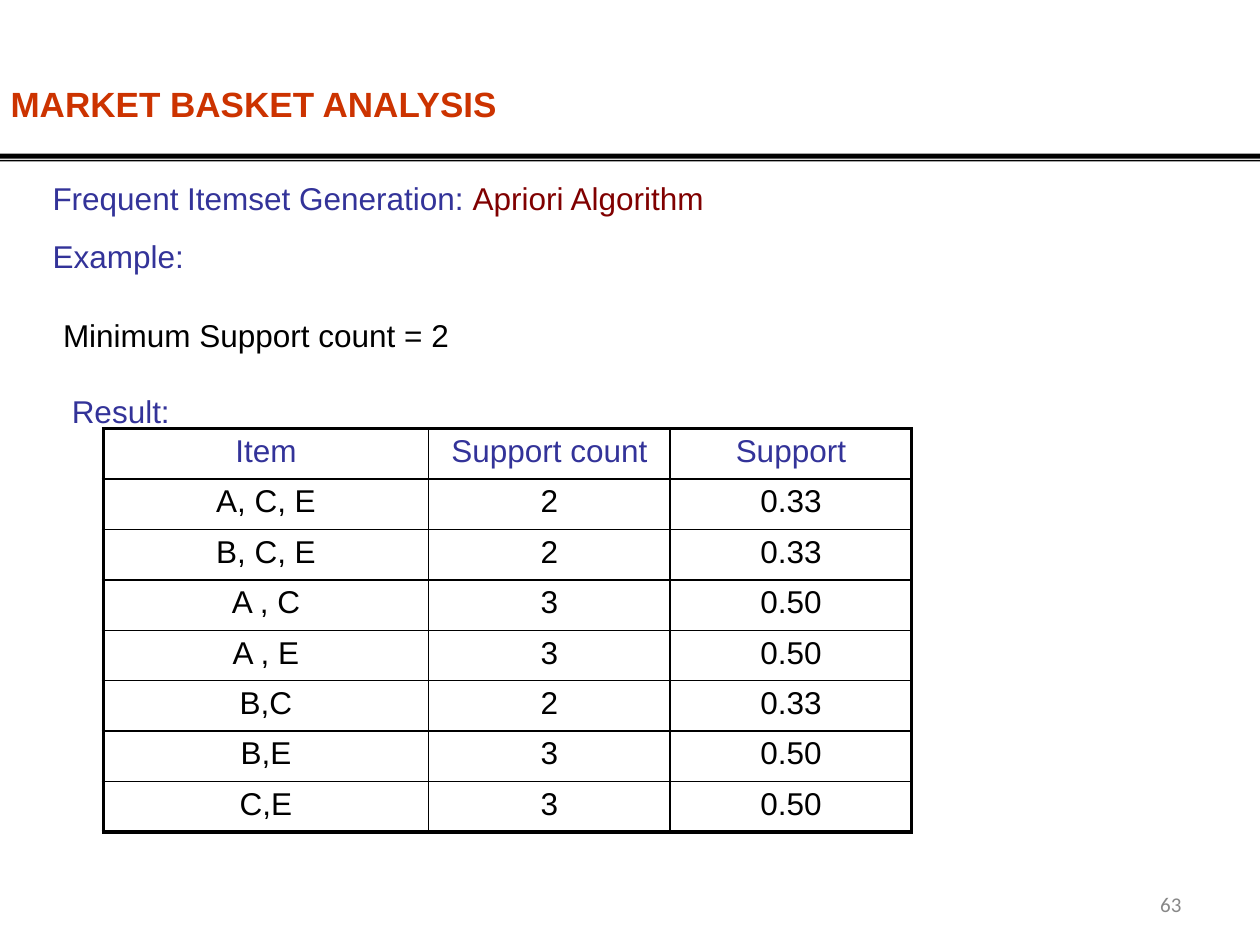
from lxml import etree
from pptx import Presentation
from pptx.dml.color import RGBColor
from pptx.enum import text as t
from pptx.oxml import ns
from pptx.util import Pt

INK = {"title": "CC3300", "head": "333399", "name": "800000",
       "text": "000000", "page": "888888", "back": "FFFFFF"}
THIN, THICK = 1, 2.25
ROWS = [
    ("Item", "Support count", "Support"),
    ("A, C, E", "2", "0.33"),
    ("B, C, E", "2", "0.33"),
    ("A , C", "3", "0.50"),
    ("A , E", "3", "0.50"),
    ("B,C", "2", "0.33"),
    ("B,E", "3", "0.50"),
    ("C,E", "3", "0.50"),
]


def color(key):
    return RGBColor.from_string(INK[key])


def write(para, words, size=18, ink="text", bold=False, face="Arial"):
    """Add one formatted run to a paragraph."""
    run = para.add_run()
    run.text = words
    font = run.font
    font.size, font.bold, font.name = Pt(size), bold, face
    font.color.rgb = color(ink)


def place(shape, left, top, width, height):
    """Set the box of a text shape and clear its margins."""
    shape.left, shape.top = Pt(left), Pt(top)
    shape.width, shape.height = Pt(width), Pt(height)
    frame = shape.text_frame
    frame.margin_left = frame.margin_right = 0
    frame.margin_top = frame.margin_bottom = 0
    frame.vertical_anchor = t.MSO_ANCHOR.TOP
    frame.auto_size = t.MSO_AUTO_SIZE.NONE
    frame.word_wrap = True
    return frame


def add_rule(slide):
    """Double rule under the title: a thick bar and a thin one."""
    bars = [(87.8, 90.7), (91.4, 92.2)]
    pen = slide.shapes.build_freeform(0, Pt(bars[0][0]))
    for top, base in bars:
        pen.move_to(0, Pt(top))
        pen.add_line_segments(
            [(Pt(720), Pt(top)), (Pt(720), Pt(base)), (0, Pt(base))], close=True)
    rule = pen.convert_to_shape()
    rule.shadow.inherit = False
    rule.fill.solid()
    rule.fill.fore_color.rgb = color("text")
    rule.line.fill.background()


def add_list(frame, lines):
    """Unbulleted lines, each with its indent, gap and runs."""
    for num, (indent, gap, runs) in enumerate(lines):
        para = frame.add_paragraph() if num else frame.paragraphs[0]
        props = para._p.get_or_add_pPr()
        props.set("marL", str(Pt(indent)))
        props.set("indent", "0")
        etree.SubElement(props, ns.qn("a:buNone"))
        para.space_before = Pt(gap)
        for words, ink in runs:
            write(para, words, ink=ink)


def edge(cell, side, width):
    """Draw one border of a cell; call before filling the cell."""
    line = etree.SubElement(cell._tc.get_or_add_tcPr(), ns.qn("a:ln" + side),
                            w=str(Pt(width)))
    fill = etree.SubElement(line, ns.qn("a:solidFill"))
    etree.SubElement(fill, ns.qn("a:srgbClr"), val=INK["text"])


def add_grid(slide, left, top, widths, height):
    """Result table: thick outer frame, thin inner lines."""
    last_row, last_col = len(ROWS) - 1, len(widths) - 1
    table = slide.shapes.add_table(
        len(ROWS), len(widths), Pt(left), Pt(top),
        Pt(sum(widths)), Pt(height * len(ROWS))).table
    table.first_row = table.horz_banding = False
    for col, width in zip(table.columns, widths):
        col.width = Pt(width)
    for r, row in enumerate(ROWS):
        for c, words in enumerate(row):
            cell = table.cell(r, c)
            cell.margin_left = cell.margin_right = cell.margin_bottom = 0
            cell.margin_top = Pt(3)
            outer = {"L": c == 0, "R": c == last_col,
                     "T": r == 0, "B": r == last_row}
            for side, thick in outer.items():
                edge(cell, side, THICK if thick else THIN)
            cell.fill.solid()
            cell.fill.fore_color.rgb = color("back")
            para = cell.text_frame.paragraphs[0]
            para.alignment = t.PP_ALIGN.CENTER
            write(para, words, ink="text" if r else "head")


def main():
    deck = Presentation()
    deck.slide_width, deck.slide_height = Pt(720), Pt(540)
    slide = deck.slides.add_slide(deck.slide_layouts[1])
    title, body = slide.placeholders

    # Title and rule
    para = place(title, 6, 47, 500, 26).paragraphs[0]
    para.alignment = t.PP_ALIGN.LEFT
    write(para, "MARKET BASKET ANALYSIS", size=20, ink="title", bold=True)
    add_rule(slide)

    # Lead-in lines
    add_list(place(body, 6, 102.5, 500, 142), [
        (24, 0, [("Frequent Itemset Generation: ", "head"),
                 ("Apriori Algorithm", "name")]),
        (24, 11.3, [("Example:", "head")]),
        (30, 23.8, [("Minimum Support count = 2", "text")]),
        (35, 21.6, [("Result:", "head")]),
    ])

    # Results
    add_grid(slide, 59, 245, [186, 138, 138], 28.8)

    # Page number
    page = slide.shapes.add_textbox(0, 0, 0, 0)
    para = place(page, 663, 509.5, 20, 16).paragraphs[0]
    write(para, "63", size=12, ink="page", face="Calibri")

    deck.save("out.pptx")


if __name__ == "__main__":
    main()
